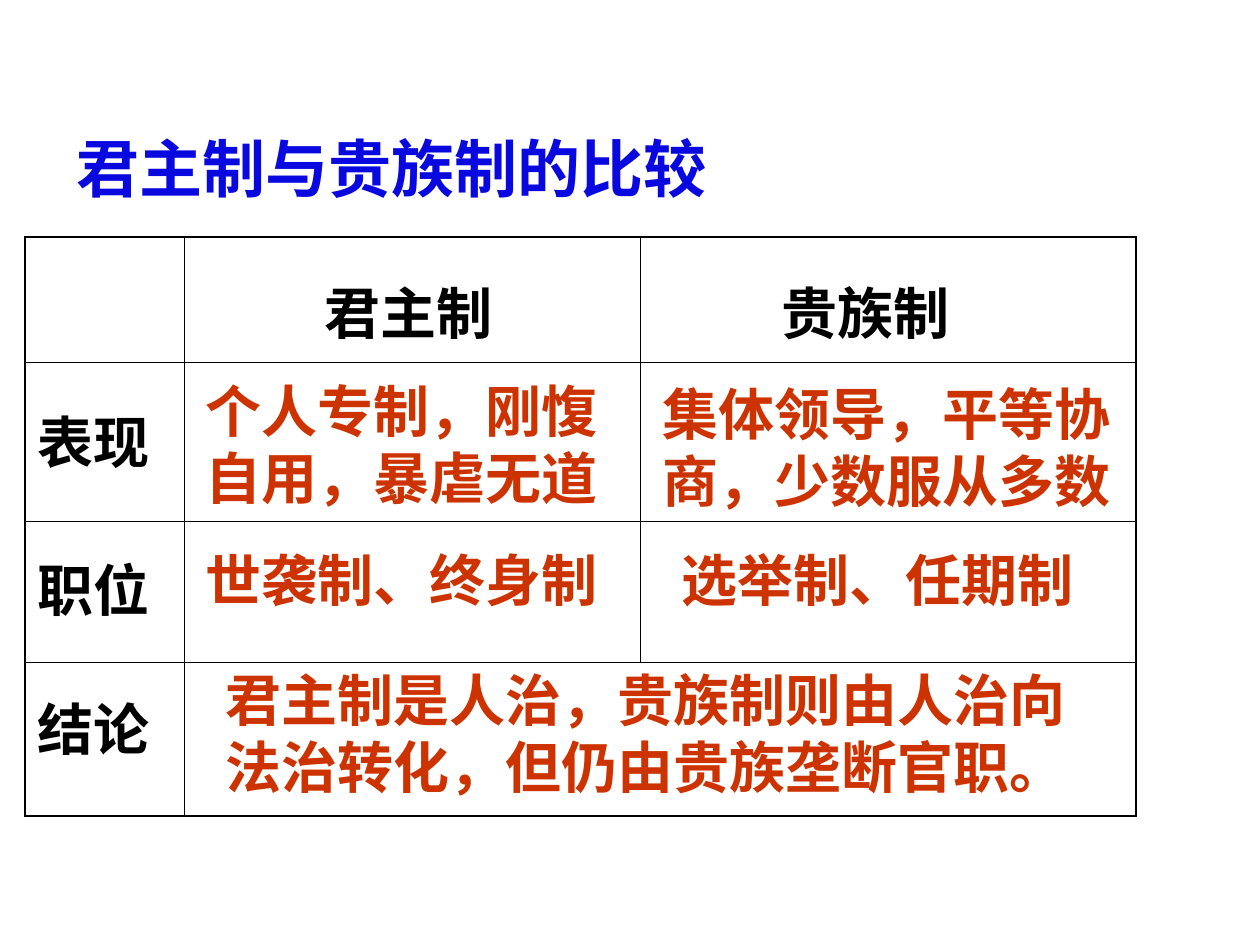
from lxml import etree
from pptx import Presentation
from pptx import util as u
from pptx.dml.color import RGBColor
from pptx.enum import text as t
from pptx.oxml import ns

BLUE = RGBColor(0x09, 0x09, 0xDF)
BLACK = RGBColor(0, 0, 0)
RED = RGBColor(0xCC, 0x33, 0x00)
FONT = "Arial"
THIN, THICK = 0.45, 1.08

SLIDE_SIZE = (1260, 945)
TITLE = ("君主制与贵族制的比较", (64, 123, 1022, 88))

TABLE_ORIGIN = (25, 237)
COLUMNS = [159, 456, 496]
ROWS = [125, 159, 141, 154]

ROW_LABELS = [("表现", 401), ("职位", 549), ("结论", 688)]
HEADINGS = [
    ("君主制", (312, 272, 238, 81)),
    ("贵族制", (769, 272, 218, 81)),
]
FINDINGS = [
    ("个人专制，刚愎自用，暴虐无道", (193, 370, 466, 147)),
    ("世袭制、终身制", (193, 539, 446, 81)),
    ("集体领导，平等协商，少数服从多数", (650, 373, 486, 147)),
    ("选举制、任期制", (669, 539, 427, 81)),
    ("君主制是人治，贵族制则由人治向法治转化，但仍由贵族垄断官职。", (213, 659, 883, 147)),
]


def px(value):
    return u.Emu(round(value * 914400 / 126))


def add_text(slide, content, box, *, size=32, color=BLACK):
    shape = slide.shapes.add_textbox(*map(px, box))
    frame = shape.text_frame
    frame.word_wrap = True
    frame.auto_size = t.MSO_AUTO_SIZE.SHAPE_TO_FIT_TEXT
    paragraph = frame.paragraphs[0]
    run = paragraph.add_run()
    run.text = content
    run.font.name = FONT
    run.font.size = u.Pt(size)
    run.font.bold = True
    run.font.color.rgb = color


def set_border(cell, side, width):
    properties = cell._tc.get_or_add_tcPr()
    line = etree.SubElement(properties, ns.qn(f"a:ln{side}"), w=str(u.Pt(width)))
    fill = etree.SubElement(line, ns.qn("a:solidFill"))
    etree.SubElement(fill, ns.qn("a:srgbClr"), val=str(BLACK))


def add_grid(slide):
    size = (sum(COLUMNS), sum(ROWS))
    frame = slide.shapes.add_table(
        len(ROWS), len(COLUMNS), *map(px, TABLE_ORIGIN + size)
    )
    table = frame.table
    table.first_row = False
    table.horz_banding = False
    for column, width in zip(table.columns, COLUMNS):
        column.width = px(width)
    for row, height in zip(table.rows, ROWS):
        row.height = px(height)
    table.cell(3, 1).merge(table.cell(3, 2))

    for r in range(len(ROWS)):
        for c in range(len(COLUMNS)):
            cell = table.cell(r, c)
            outer = {
                "L": c == 0,
                "R": c + cell.span_width == len(COLUMNS),
                "T": r == 0,
                "B": r == len(ROWS) - 1,
            }
            for side, is_outer in outer.items():
                set_border(cell, side, THICK if is_outer else THIN)
            cell.fill.background()


def main():
    presentation = Presentation()
    presentation.slide_width, presentation.slide_height = map(px, SLIDE_SIZE)
    slide = presentation.slides.add_slide(presentation.slide_layouts[6])

    add_text(slide, *TITLE, size=36, color=BLUE)
    add_grid(slide)
    for content, box in HEADINGS:
        add_text(slide, content, box)
    for content, top in ROW_LABELS:
        add_text(slide, content, (TABLE_ORIGIN[0], top, 189, 81))
    for content, box in FINDINGS:
        add_text(slide, content, box, color=RED)

    presentation.save("out.pptx")


if __name__ == "__main__":
    main()
